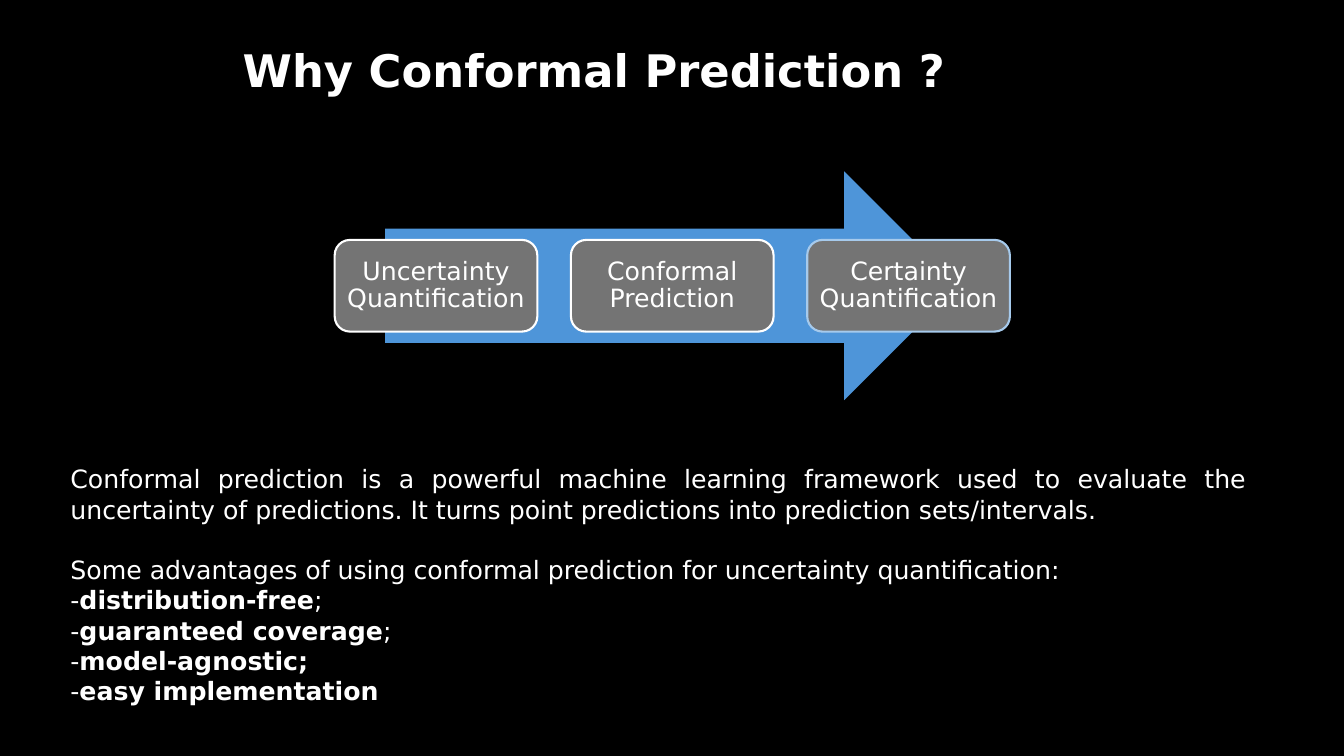
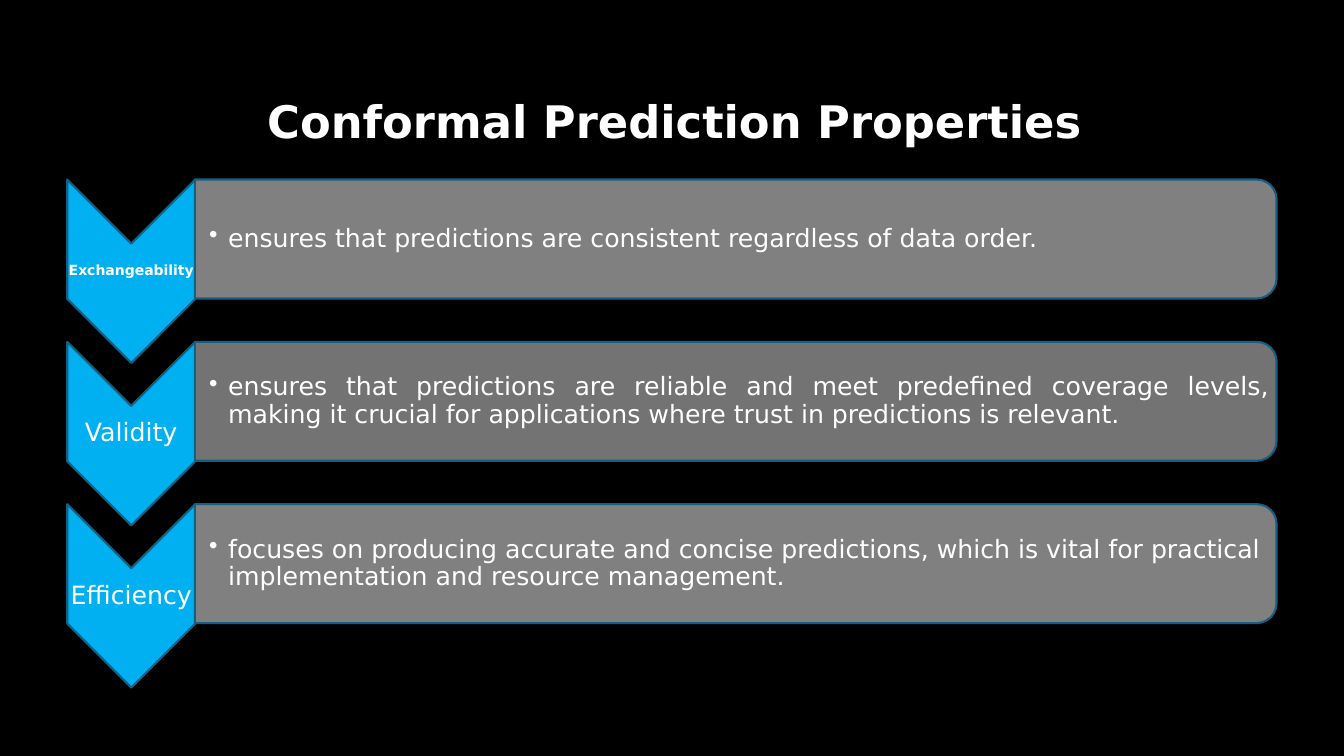
from lxml import etree
from pptx import Presentation
from pptx import util as u
from pptx.dml.color import RGBColor
from pptx.enum import shapes, text
from pptx.oxml.ns import qn

COLOURS = {
    "background": "000000", "text": "FFFFFF", "arrow": "4E95D9",
    "step": "747474", "last_edge": "A6CAEC", "chevron": "00B0F0",
    "panel": "808080", "edge": "156082",
}
SHAPE = shapes.MSO_SHAPE
ALIGN = text.PP_ALIGN
ANCHOR = text.MSO_ANCHOR
BODY = {"name": "DejaVu Sans", "size": u.Pt(18), "bold": False}
TITLE = BODY | {"size": u.Pt(32), "bold": True}
SMALL_LABEL = BODY | {"size": u.Pt(10), "bold": True}


def colour(name):
    return RGBColor.from_string(COLOURS[name])


def apply(target, values):
    for name, value in values.items():
        setattr(target, name, value)


class Deck:
    """Places styled elements; frames are percentages of the slide."""

    def __init__(self):
        self.presentation = Presentation()
        apply(self.presentation, {"slide_width": u.Inches(13.333),
                                  "slide_height": u.Inches(7.5)})
        self.slide = None

    def new_slide(self, title, left, top, width):
        self.slide = self.presentation.slides.add_slide(
            self.presentation.slide_layouts[6])
        fill = self.slide.background.fill
        fill.solid()
        fill.fore_color.rgb = colour("background")
        box = self.text_box((left, top, width, 8.27))
        self.add_text(box, [[(title, TITLE)]], {"alignment": ALIGN.CENTER})

    def lengths(self, frame):
        sides = (self.presentation.slide_width, self.presentation.slide_height)
        return [round(share / 100 * sides[i % 2]) for i, share in enumerate(frame)]

    def text_box(self, frame, anchor=ANCHOR.MIDDLE, **margins):
        box = self.slide.shapes.add_textbox(*self.lengths(frame))
        apply(box.text_frame, {"word_wrap": True, "vertical_anchor": anchor} | margins)
        return box

    def shape(self, kind, frame, fill, edge=None, opacity=100, turned=False):
        """Draw a preset; a turned one is rotated to fill its frame."""
        left, top, width, height = self.lengths(frame)
        if turned:
            left, top = left + (width - height) // 2, top + (height - width) // 2
            width, height = height, width
        shape = self.slide.shapes.add_shape(kind, left, top, width, height)
        shape.rotation = 90 if turned else 0
        shape.shadow.inherit = False
        shape.fill.solid()
        shape.fill.fore_color.rgb = colour(fill)
        if opacity < 100:
            solid = shape._element.spPr.find(qn("a:solidFill"))
            etree.SubElement(solid[0], qn("a:alpha"), val=str(opacity * 1000))
        if edge:
            shape.line.color.rgb = colour(edge)
            shape.line.width = u.Pt(1.5)
        else:
            shape.line.fill.background()
        return shape

    def add_text(self, shape, paragraphs, layout):
        """Fill a shape with paragraphs, each a list of (words, font values)."""
        frame = shape.text_frame
        for index, runs in enumerate(paragraphs):
            paragraph = frame.add_paragraph() if index else frame.paragraphs[0]
            apply(paragraph, layout)
            for words, font in runs:
                run = paragraph.add_run()
                run.text = words
                apply(run.font, font)
                run.font.color.rgb = colour("text")
        return frame.paragraphs

    def step(self, words, frame, edge):
        box = self.shape(SHAPE.ROUNDED_RECTANGLE, frame, "step", edge)
        margins = dict.fromkeys(
            ("margin_left", "margin_top", "margin_right", "margin_bottom"), u.Inches(0.07))
        apply(box.text_frame,
              {"word_wrap": True, "vertical_anchor": ANCHOR.MIDDLE} | margins)
        self.add_text(box, [[(words, BODY)]],
                      {"alignment": ALIGN.CENTER, "line_spacing": 0.9})

    def property_row(self, top, label, label_font, words, alignment, opacity):
        # Chevron with its label
        chevron = (5, top, 9.53, 24.27)
        self.shape(SHAPE.CHEVRON, chevron, "chevron", "edge", turned=True)
        box = self.text_box(chevron, margin_left=0, margin_right=0)
        self.add_text(box, [[(label, label_font)]],
                      {"alignment": ALIGN.CENTER, "line_spacing": 0.9})
        # Panel with its bullet
        panel = (14.5, top, 80.48, 15.73)
        self.shape(SHAPE.ROUND_2_SAME_RECTANGLE, panel, "panel", "edge",
                   opacity, turned=True)
        box = self.text_box(panel, margin_left=u.Inches(0.14),
                            margin_right=u.Inches(0.07))
        for paragraph in self.add_text(box, [[(words, BODY)]],
                                       {"alignment": alignment, "line_spacing": 0.9}):
            properties = paragraph._p.get_or_add_pPr()
            properties.set("marL", str(u.Inches(0.19)))
            properties.set("indent", str(-u.Inches(0.19)))
            etree.SubElement(properties, qn("a:buChar"), char="•")


def build_why(deck):
    deck.new_slide("Why Conformal Prediction ?", 7.12, 5.07, 74.18)

    # Process arrow
    deck.shape(SHAPE.RIGHT_ARROW, (28.65, 22.67, 42.68, 30.27), "arrow")
    steps = [("Uncertainty Quantification", "text"),
             ("Conformal Prediction", "text"),
             ("Certainty Quantification", "last_edge")]
    for index, (words, edge) in enumerate(steps):
        deck.step(words, (24.9 + 17.58 * index, 31.73, 15.08, 12.13), edge)

    # Explanation and advantages
    strong = BODY | {"bold": True}
    advantages = [("distribution-free", ";"), ("guaranteed coverage", ";"),
                  ("model-agnostic;", ""), ("easy implementation", "")]
    paragraphs = [
        [("Conformal prediction is a powerful machine learning framework used to "
          "evaluate the uncertainty of predictions. It turns point predictions "
          "into prediction sets/intervals.", BODY)],
        [("Some advantages of using conformal prediction for uncertainty "
          "quantification:", BODY)],
    ]
    for name, ending in advantages:
        runs = [("-", BODY), (name, strong), (ending, BODY)]
        paragraphs.append([run for run in runs if run[0]])
    box = deck.text_box((4.5, 60.67, 89, 37.73), ANCHOR.TOP)
    filled = deck.add_text(box, paragraphs, {"alignment": ALIGN.JUSTIFY})
    filled[1].space_before = u.Pt(21.6)


def build_properties(deck):
    deck.new_slide("Conformal Prediction Properties", 5.32, 11.87, 89.78)
    rows = [
        ("Exchangeability", SMALL_LABEL,
         "ensures that predictions are consistent regardless of data order.",
         ALIGN.LEFT, 100),
        ("Validity", BODY,
         "ensures that predictions are reliable and meet predefined coverage "
         "levels, making it crucial for applications where trust in predictions "
         "is relevant.", ALIGN.JUSTIFY, 90),
        ("Efficiency", BODY,
         "focuses on producing accurate and concise predictions, which is vital "
         "for practical implementation and resource management.", ALIGN.LEFT, 100),
    ]
    for index, row in enumerate(rows):
        deck.property_row(23.75 + 21.47 * index, *row)


def main():
    deck = Deck()
    build_why(deck)
    build_properties(deck)
    deck.presentation.save("out.pptx")


if __name__ == "__main__":
    main()
